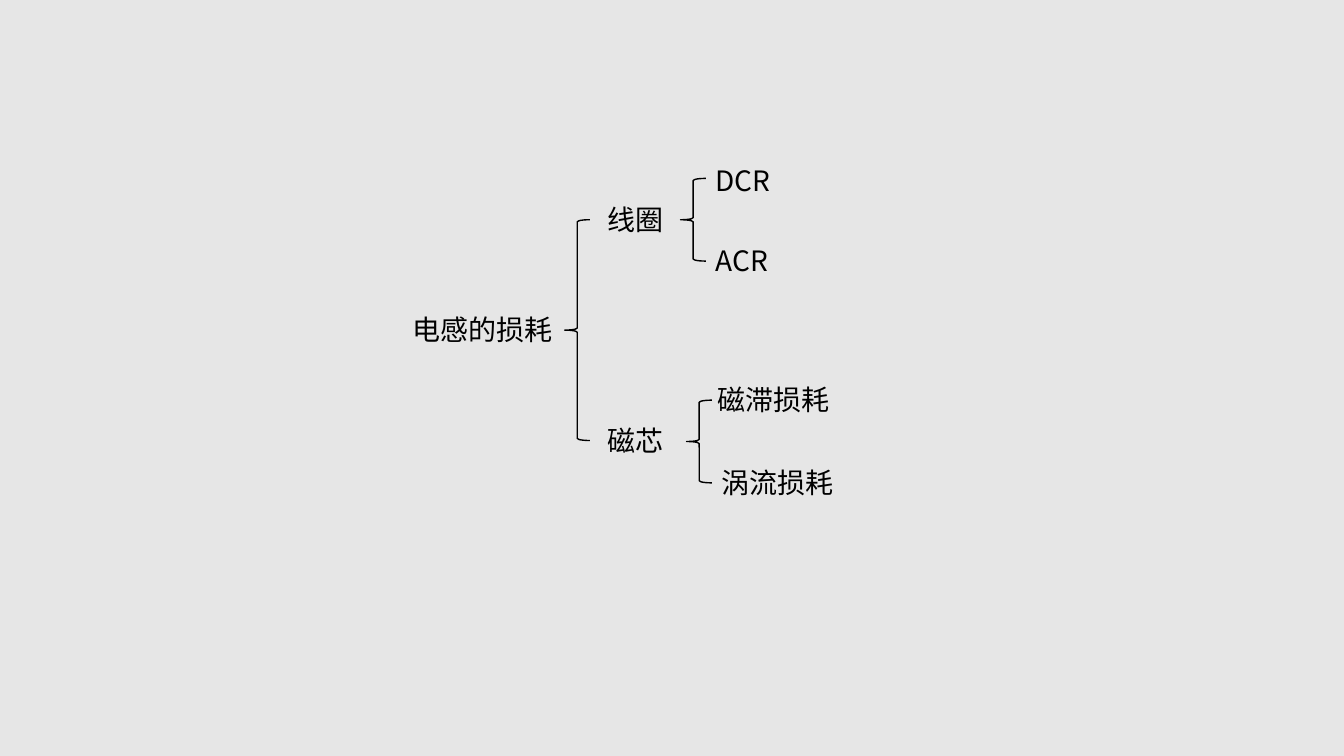
from dataclasses import dataclass

from lxml.etree import SubElement
from pptx import Presentation
from pptx.dml.color import RGBColor
from pptx.enum.shapes import MSO_SHAPE
from pptx.enum.text import MSO_AUTO_SIZE
from pptx.oxml.ns import qn
from pptx.util import Inches, Pt


@dataclass(frozen=True)
class Theme:
    back: RGBColor = RGBColor(0xE6, 0xE6, 0xE6)
    ink: RGBColor = RGBColor(0, 0, 0)
    font: str = "Noto Sans CJK SC"
    size: Pt = Pt(20)
    line: Pt = Pt(1)


THEME = Theme()
LABEL_H = 0.44


def add_label(group, text, left, top, width):
    box = group.shapes.add_textbox(
        Inches(left), Inches(top), Inches(width), Inches(LABEL_H))
    frame = box.text_frame
    frame.text = text
    frame.word_wrap = False
    frame.auto_size = MSO_AUTO_SIZE.SHAPE_TO_FIT_TEXT
    run = frame.paragraphs[0].runs[0]
    run.font.size = THEME.size
    run.font.name = THEME.font
    run.font.color.rgb = THEME.ink
    SubElement(run.font._element, qn("a:ea"), typeface=THEME.font)


def add_fork(slide, box, labels):
    """Draw a left brace in box; each label is (text, dx, dy, width) from its corner."""
    left, top, width, height = box
    group = slide.shapes.add_group_shape()
    brace = group.shapes.add_shape(
        MSO_SHAPE.LEFT_BRACE, Inches(left), Inches(top),
        Inches(width), Inches(height))
    brace.shadow.inherit = False
    brace.fill.background()
    brace.line.color.rgb = THEME.ink
    brace.line.width = THEME.line
    for text, dx, dy, wide in labels:
        add_label(group, text, left + dx, top + dy, wide)


def add_tree(slide, left, top):
    """Place the loss tree with the corner of its main brace at left, top."""
    half = LABEL_H / 2
    tall, short, wide = 2.19, 0.82, 0.25
    add_fork(slide, (left, top, wide, tall), [
        ("线圈", 0.33, -half, 0.76),
        ("磁芯", 0.33, tall - half, 0.76),
        ("电感的损耗", -1.61, tall / 2 - half, 1.6),
    ])
    add_fork(slide, (left + 1.15, top - short / 2, wide, short), [
        ("DCR", 0.25, -0.2, 0.79),
        ("ACR", 0.25, 0.6, 0.79),
    ])
    add_fork(slide, (left + 1.21, top + tall - short / 2 + 0.01, wide, short), [
        ("磁滞损耗", 0.21, -half, 1.32),
        ("涡流损耗", 0.25, short - half, 1.32),
    ])


def main():
    deck = Presentation()
    deck.slide_width, deck.slide_height = Inches(13.33), Inches(7.5)
    slide = deck.slides.add_slide(deck.slide_layouts[6])
    fill = slide.background.fill
    fill.solid()
    fill.fore_color.rgb = THEME.back
    add_tree(slide, 5.6, 2.18)
    deck.save("out.pptx")


if __name__ == "__main__":
    main()
